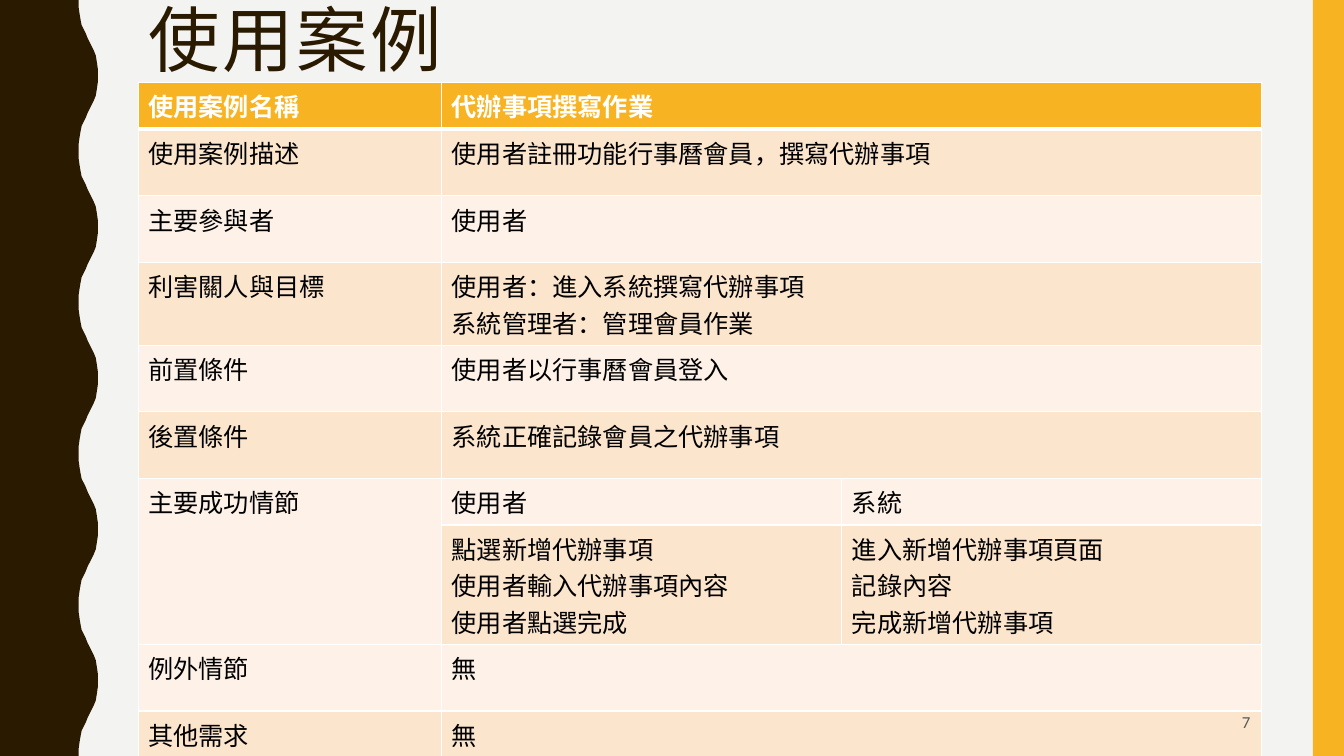
"""Build the use case slide for writing to-do items."""
from lxml.etree import SubElement
from pptx import Presentation
from pptx.dml.color import RGBColor
from pptx.enum.shapes import MSO_SHAPE
from pptx.enum.text import MSO_ANCHOR, PP_ALIGN
from pptx.oxml.ns import qn
from pptx.util import Inches, Pt

TITLE = "使用案例"
PAGE_NUMBER = "7"
ROWS = [
    ("使用案例名稱", "代辦事項撰寫作業"),
    ("使用案例描述", "使用者註冊功能行事曆會員，撰寫代辦事項"),
    ("主要參與者", "使用者"),
    ("利害關人與目標", "使用者：進入系統撰寫代辦事項\n系統管理者：管理會員作業"),
    ("前置條件", "使用者以行事曆會員登入"),
    ("後置條件", "系統正確記錄會員之代辦事項"),
    ("主要成功情節", "使用者", "系統"),
    ("", "點選新增代辦事項\n使用者輸入代辦事項內容\n使用者點選完成",
     "進入新增代辦事項頁面\n記錄內容\n完成新增代辦事項"),
    ("例外情節", "無"),
    ("其他需求", "無"),
]
SCENARIO_ROW = 6
COLUMN_WIDTHS = [3.01, 3.97, 4.16]
SHORT_ROWS = (0, SCENARIO_ROW)
SHORT_HEIGHT, ROW_HEIGHT = 0.42, 0.66
LEFT, CONTENT_WIDTH = 1.37, 11.13
SLIDE_WIDTH, SLIDE_HEIGHT = 13.33, 7.5

WAVE_PERIOD, WAVE_COUNT = 1.5, 5
HALF_WAVE = [
    (0.78, 0), (0.78, 0.07), (0.79, 0.14), (0.8, 0.2), (0.81, 0.25),
    (0.83, 0.29), (0.85, 0.33), (0.87, 0.38), (0.89, 0.42), (0.91, 0.46),
    (0.93, 0.5), (0.95, 0.55), (0.96, 0.61), (0.97, 0.68), (0.97, 0.75),
]

BACKGROUND = RGBColor(0xF3, 0xF3, 0xF2)
BROWN = RGBColor(0x2A, 0x1A, 0x00)
AMBER = RGBColor(0xF8, 0xB3, 0x23)
PEACH = RGBColor(0xFC, 0xE5, 0xCD)
CREAM = RGBColor(0xFE, 0xF2, 0xE8)
WHITE = RGBColor(0xFF, 0xFF, 0xFF)
BLACK = RGBColor(0x00, 0x00, 0x00)
GRAY = RGBColor(0x59, 0x59, 0x59)


def set_font(paragraph, name, size, color, bold=False):
    """Set the font of a whole paragraph."""
    font = paragraph.font
    font.name, font.size, font.bold = name, Pt(size), bold
    font.color.rgb = color


def paint(shape, color):
    """Give a shape a flat fill without line or shadow."""
    shape.shadow.inherit = False
    shape.fill.solid()
    shape.fill.fore_color.rgb = color
    shape.line.fill.background()


def add_side_bands(slide):
    """Draw the wavy left band and the straight right band."""
    wave = HALF_WAVE + [(x, WAVE_PERIOD - y) for x, y in HALF_WAVE[-2::-1]]
    edge = [(x, y + WAVE_PERIOD * number) for number in range(WAVE_COUNT) for x, y in wave]
    outline = edge + [(0, SLIDE_HEIGHT)]
    builder = slide.shapes.build_freeform(0, 0)
    builder.add_line_segments([(Inches(x), Inches(y)) for x, y in outline], close=True)
    paint(builder.convert_to_shape(), BROWN)
    band = slide.shapes.add_shape(
        MSO_SHAPE.RECTANGLE, Inches(13.02), 0, Inches(0.31), Inches(SLIDE_HEIGHT))
    paint(band, AMBER)


def add_title(slide):
    """Place and format the title placeholder."""
    title = slide.shapes.title
    title.left, title.top = Inches(LEFT), 0
    title.width, title.height = Inches(CONTENT_WIDTH), Inches(1.63)
    frame = title.text_frame
    frame.text = TITLE
    frame.vertical_anchor = MSO_ANCHOR.TOP
    paragraph = frame.paragraphs[0]
    paragraph.alignment = PP_ALIGN.LEFT
    paragraph.line_spacing = 0.9
    set_font(paragraph, "Arial", 51, BROWN)
    paragraph.runs[0].font._element.set("spc", "200")


def add_borders(cell, row):
    """Draw white cell borders, thicker under the header row."""
    properties = cell._tc.get_or_add_tcPr()
    widths = {"lnL": 1, "lnR": 1, "lnT": 3 if row == 1 else 1, "lnB": 3 if row == 0 else 1}
    for side, width in widths.items():
        line = SubElement(properties, qn(f"a:{side}"), w=str(Pt(width)))
        fill = SubElement(line, qn("a:solidFill"))
        SubElement(fill, qn("a:srgbClr"), val=str(WHITE))


def row_color(row, column):
    """Return the band colour of a cell."""
    if row == 0:
        return AMBER
    if row == SCENARIO_ROW + 1 and column == 0:
        return CREAM
    return PEACH if row % 2 else CREAM


def add_use_case_table(slide):
    """Fill the use case table and merge its spanning cells."""
    heights = [SHORT_HEIGHT if row in SHORT_ROWS else ROW_HEIGHT for row in range(len(ROWS))]
    table = slide.shapes.add_table(
        len(ROWS), len(COLUMN_WIDTHS), Inches(LEFT), Inches(0.82),
        Inches(CONTENT_WIDTH), Inches(sum(heights))).table
    for column, width in zip(table.columns, COLUMN_WIDTHS):
        column.width = Inches(width)
    for row, texts in enumerate(ROWS):
        table.rows[row].height = Inches(heights[row])
        if len(texts) == 2:
            table.cell(row, 1).merge(table.cell(row, 2))
        for column in range(len(COLUMN_WIDTHS)):
            cell = table.cell(row, column)
            add_borders(cell, row)
            cell.fill.solid()
            cell.fill.fore_color.rgb = row_color(row, column)
            if column < len(texts):
                cell.text = texts[column]
            for paragraph in cell.text_frame.paragraphs:
                set_font(paragraph, "Calibri", 18, BLACK if row else WHITE, row == 0)
    table.cell(SCENARIO_ROW, 0).merge(table.cell(SCENARIO_ROW + 1, 0))


def add_page_number(slide):
    """Write the page number at the lower right."""
    box = slide.shapes.add_textbox(Inches(9.42), Inches(6.97), Inches(3.08), Inches(0.38))
    frame = box.text_frame
    frame.word_wrap = True
    frame.vertical_anchor = MSO_ANCHOR.MIDDLE
    frame.text = PAGE_NUMBER
    frame.paragraphs[0].alignment = PP_ALIGN.RIGHT
    set_font(frame.paragraphs[0], "Calibri", 12, GRAY)


def main():
    """Build and save the presentation."""
    presentation = Presentation()
    presentation.slide_width = Inches(SLIDE_WIDTH)
    presentation.slide_height = Inches(SLIDE_HEIGHT)
    slide = presentation.slides.add_slide(presentation.slide_layouts[5])
    slide.background.fill.solid()
    slide.background.fill.fore_color.rgb = BACKGROUND
    add_side_bands(slide)
    add_title(slide)
    add_use_case_table(slide)
    add_page_number(slide)
    presentation.save("out.pptx")


if __name__ == "__main__":
    main()
